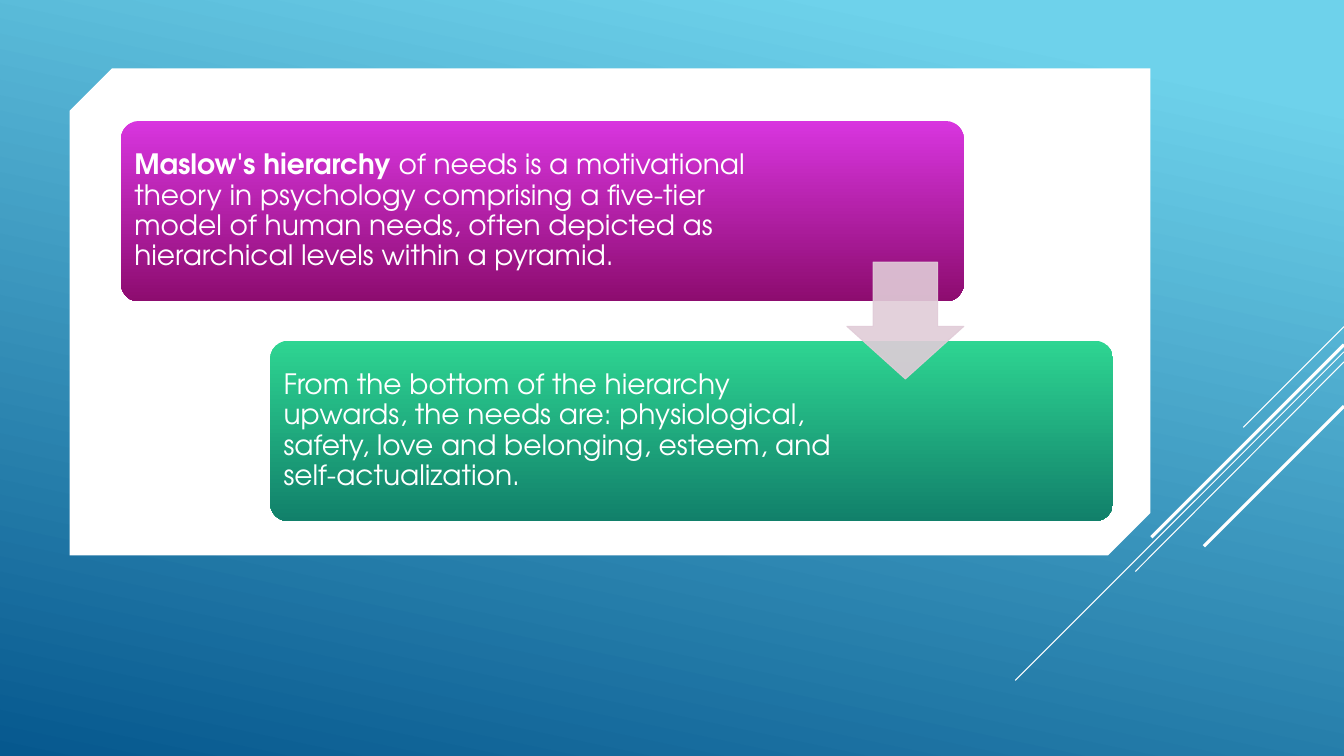
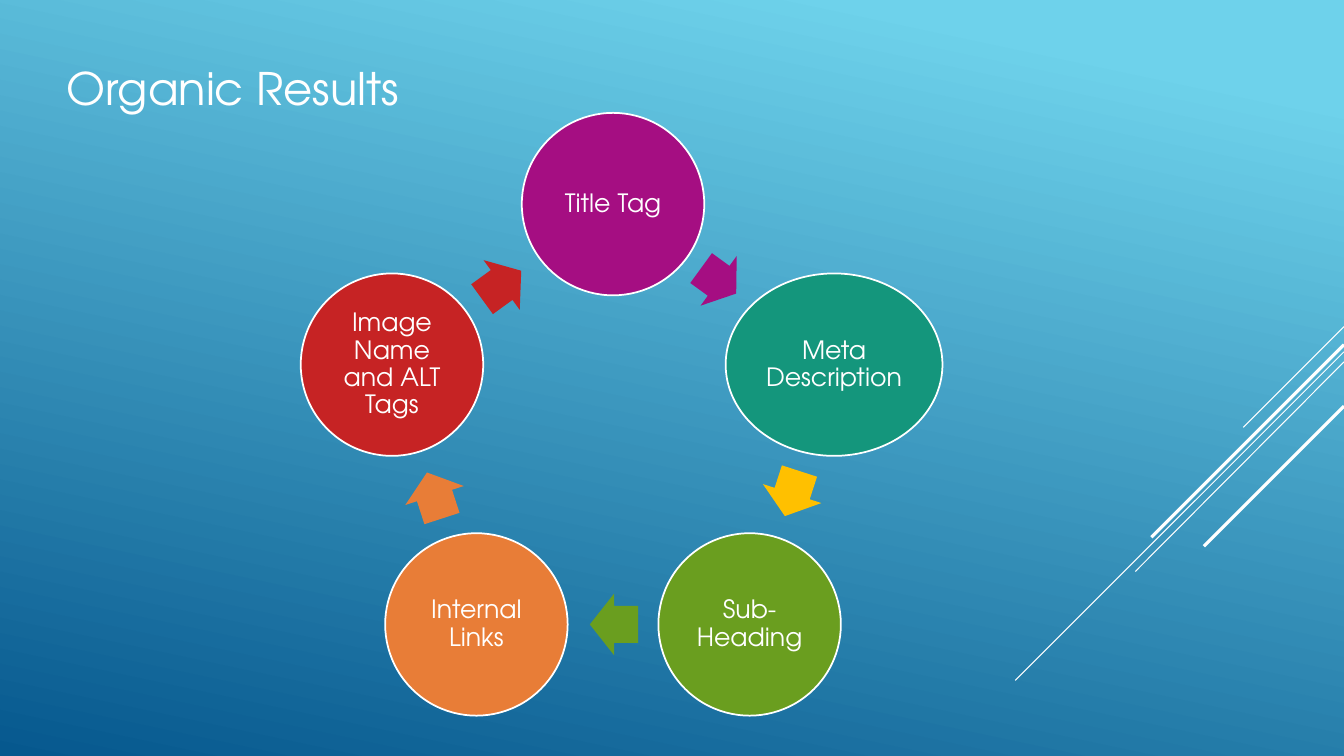
import math
from dataclasses import dataclass

import lxml.etree
import pptx
import pptx.dml.color
import pptx.enum.dml
import pptx.enum.shapes
import pptx.enum.text
import pptx.oxml.ns
import pptx.util

EMU_PER_PX = 9144
SLIDE_WIDTH, SLIDE_HEIGHT = 1333, 750
FONT = "TeX Gyre Adventor"
WHITE = "FFFFFF"
SKY, OCEAN = "6ED2EB", "06588E"
PURPLE, TEAL, GREEN, ORANGE, RED = "A50E82", "14967C", "6A9E1F", "E87D37", "C62324"
AMBER, PALE_MAUVE = "FFC000", "E1CCD8"
Shapes = pptx.enum.shapes.MSO_SHAPE
Align = pptx.enum.text.PP_ALIGN


@dataclass(frozen=True)
class Streak:
    start_y: int
    end_x: int
    end_y: int
    weight: float


@dataclass(frozen=True)
class Card:
    left: int
    top: int
    right_inset: int
    top_color: str
    bottom_color: str
    runs: tuple[tuple[str, bool], ...]


@dataclass(frozen=True)
class Step:
    label: str
    color: str
    arrow_color: str
    width: int = 181
    arrow_length: int = 48
    arrow_setback: int = 1


STREAKS = (
    Streak(324, 1233, 424, 0.75),
    Streak(349, 1007, 675, 0.75),
    Streak(359, 1126, 567, 0.75),
    Streak(342, 1142, 533, 2.25),
    Streak(403, 1194, 542, 2.25),
)
CARD_WIDTH, CARD_HEIGHT = 836, 179
CARDS = (
    Card(120, 120, 183, "D835DF", "8D0C6F", (
        ("Maslow's hierarchy ", True),
        ("of needs is a motivational theory in psychology comprising a five-tier "
         "model of human needs, often depicted as hierarchical levels within a pyramid.", False),
    )),
    Card(268, 338, 272, "2ED592", "11806A", (
        ("From the bottom of the hierarchy upwards, the needs are: physiological, "
         "safety, love and belonging, esteem, and self-actualization.", False),
    )),
)
STEPS = (
    Step("Title Tag", PURPLE, PURPLE, arrow_length=43, arrow_setback=6),
    Step("Meta Description", TEAL, AMBER, width=215, arrow_length=47),
    Step("Sub-Heading", GREEN, GREEN),
    Step("Internal Links", ORANGE, ORANGE),
    Step("Image Name and ALT Tags", RED, RED),
)
CYCLE_X, CYCLE_Y, CYCLE_RADIUS = 608, 433, 230.5
STEP_HEIGHT, ARROW_BREADTH = 181, 61


def px(length: float) -> pptx.util.Emu:
    return pptx.util.Emu(round(length * EMU_PER_PX))


def rgb(color: str) -> pptx.dml.color.RGBColor:
    return pptx.dml.color.RGBColor.from_string(color)


def set_gradient(fill, start: str, end: str, angle: int, first_stop: float = 0) -> None:
    fill.gradient()
    fill.gradient_angle = 360 - angle
    for stop, color, position in zip(fill.gradient_stops, (start, end), (first_stop, 1)):
        stop.color.rgb = rgb(color)
        stop.position = position


def add_block(slide, kind, left: float, top: float, width: int, height: int,
              color: str = "", adjustments: tuple[float, ...] = ()):
    block = slide.shapes.add_shape(kind, px(left), px(top), px(width), px(height))
    block.shadow.inherit = False
    block.line.fill.background()
    if color:
        block.fill.solid()
        block.fill.fore_color.rgb = rgb(color)
    for index, value in enumerate(adjustments):
        block.adjustments[index] = value
    return block


def set_outline(block, color: str, weight: float) -> None:
    block.line.color.rgb = rgb(color)
    block.line.width = pptx.util.Pt(weight)


def make_translucent(block, percent: int) -> None:
    for color in block._element.spPr.iter(pptx.oxml.ns.qn("a:srgbClr")):
        lxml.etree.SubElement(color, pptx.oxml.ns.qn("a:alpha"), val=str(percent * 1000))


def write_text(block, runs: tuple[tuple[str, bool], ...], size: int, alignment,
               line_spacing: float = 1, inset: int = 10, right_inset: int = 0) -> None:
    frame = block.text_frame
    frame.word_wrap = True
    frame.vertical_anchor = pptx.enum.text.MSO_ANCHOR.MIDDLE
    frame.margin_left = px(inset)
    frame.margin_right = px(right_inset or inset)
    frame.margin_top = frame.margin_bottom = px(min(inset, 8))
    paragraph = frame.paragraphs[0]
    paragraph.alignment = alignment
    paragraph.line_spacing = line_spacing
    paragraph.font.name = FONT
    paragraph.font.size = pptx.util.Pt(size)
    paragraph.font.color.rgb = rgb(WHITE)
    for text, bold in runs:
        run = paragraph.add_run()
        run.text = text
        run.font.name = FONT
        run.font.size = pptx.util.Pt(size)
        run.font.color.rgb = rgb(WHITE)
        if bold:
            run.font.bold = True


def add_streak(slide, streak: Streak) -> None:
    line = slide.shapes.add_connector(
        pptx.enum.shapes.MSO_CONNECTOR.STRAIGHT,
        px(SLIDE_WIDTH), px(streak.start_y), px(streak.end_x), px(streak.end_y))
    set_outline(line, WHITE, streak.weight)
    lxml.etree.SubElement(line._element.spPr, pptx.oxml.ns.qn("a:effectLst"))


def add_themed_slide(deck):
    slide = deck.slides.add_slide(deck.slide_layouts[6])
    set_gradient(slide.background.fill, SKY, OCEAN, 102, 0.1)
    for streak in STREAKS:
        add_streak(slide, streak)
    return slide


def add_card(slide, card: Card) -> None:
    block = add_block(slide, Shapes.ROUNDED_RECTANGLE, card.left, card.top,
                      CARD_WIDTH, CARD_HEIGHT, adjustments=(0.1,))
    set_gradient(block.fill, card.top_color, card.bottom_color, 90)
    write_text(block, card.runs, 20, Align.LEFT, 0.9, 8, card.right_inset)


def add_step(slide, step: Step, index: int) -> None:
    turn = 360 / len(STEPS)
    angle = math.radians(index * turn)
    center_x = CYCLE_X + CYCLE_RADIUS * math.sin(angle)
    center_y = CYCLE_Y - CYCLE_RADIUS * math.cos(angle)
    circle = add_block(slide, Shapes.OVAL, center_x - step.width / 2,
                       center_y - STEP_HEIGHT / 2, step.width, STEP_HEIGHT, step.color)
    set_outline(circle, WHITE, 1.25)
    write_text(circle, ((step.label, False),), 18, Align.CENTER, 0.9, 3)

    heading = (index + 0.5) * turn
    direction = math.radians(heading)
    midpoint = CYCLE_RADIUS * math.cos(math.radians(turn / 2))
    arrow_x = CYCLE_X + midpoint * math.sin(direction) - step.arrow_setback * math.cos(direction)
    arrow_y = CYCLE_Y - midpoint * math.cos(direction) - step.arrow_setback * math.sin(direction)
    arrow = add_block(slide, Shapes.RIGHT_ARROW, arrow_x - step.arrow_length / 2,
                      arrow_y - ARROW_BREADTH / 2, step.arrow_length, ARROW_BREADTH,
                      step.arrow_color, (0.6, 0.5))
    arrow.rotation = heading


def build_hierarchy(deck) -> None:
    slide = add_themed_slide(deck)
    add_block(slide, Shapes.SNIP_2_DIAG_RECTANGLE, 69, 68, 1072, 483, WHITE, (0.087, 0))
    for card in CARDS:
        add_card(slide, card)
    arrow = add_block(slide, Shapes.DOWN_ARROW, 840, 260, 116, 116, PALE_MAUVE, (0.55, 0.45))
    set_outline(arrow, PALE_MAUVE, 0.75)
    make_translucent(arrow, 90)


def build_organic_results(deck) -> None:
    slide = add_themed_slide(deck)
    title = slide.shapes.add_textbox(px(56), px(39), px(1121), px(96))
    write_text(title, (("Organic Results", False),), 32, Align.LEFT)
    for index, step in enumerate(STEPS):
        add_step(slide, step, index)


def main() -> None:
    deck = pptx.Presentation()
    deck.slide_width, deck.slide_height = px(SLIDE_WIDTH), px(SLIDE_HEIGHT)
    build_hierarchy(deck)
    build_organic_results(deck)
    deck.save("out.pptx")


if __name__ == "__main__":
    main()
